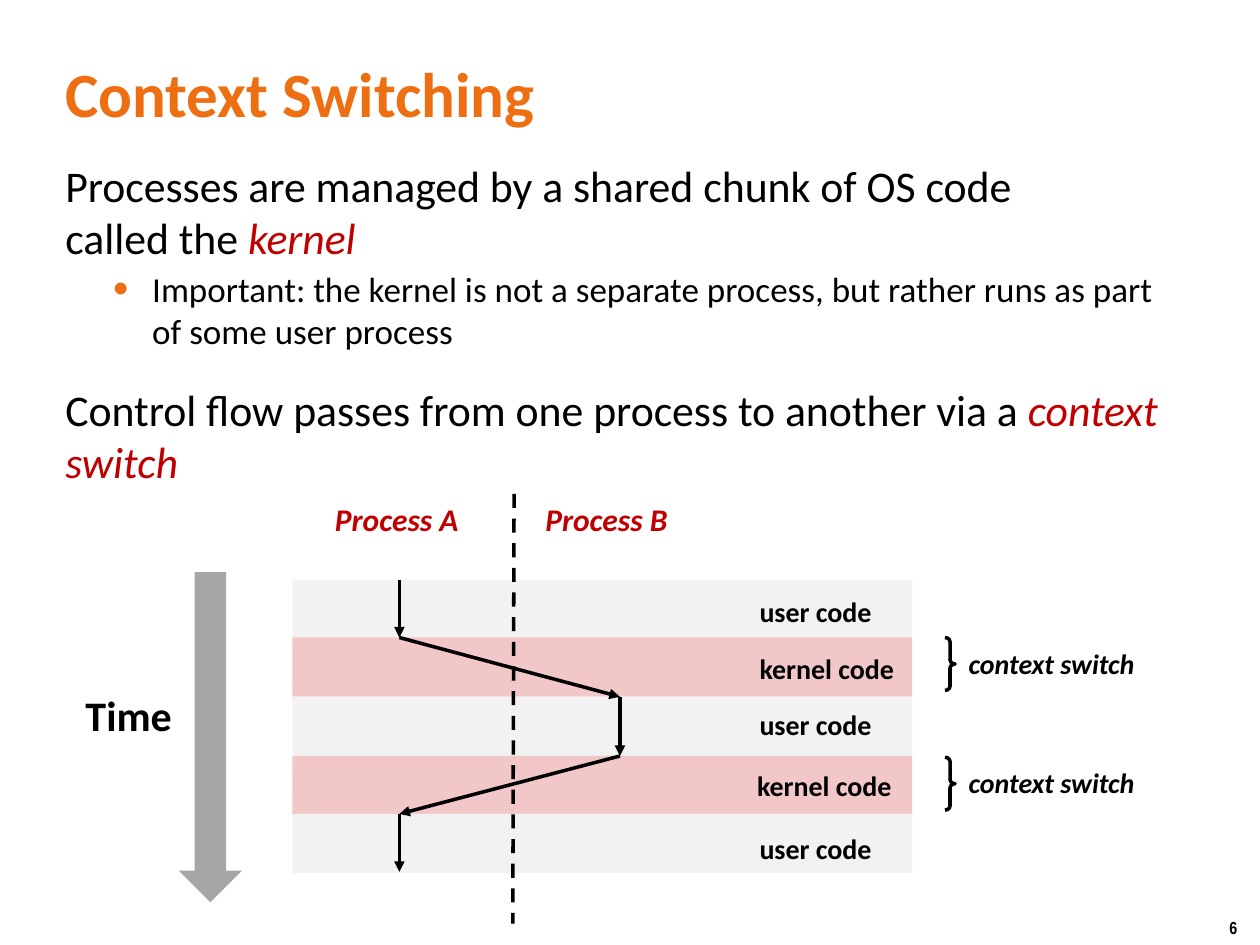
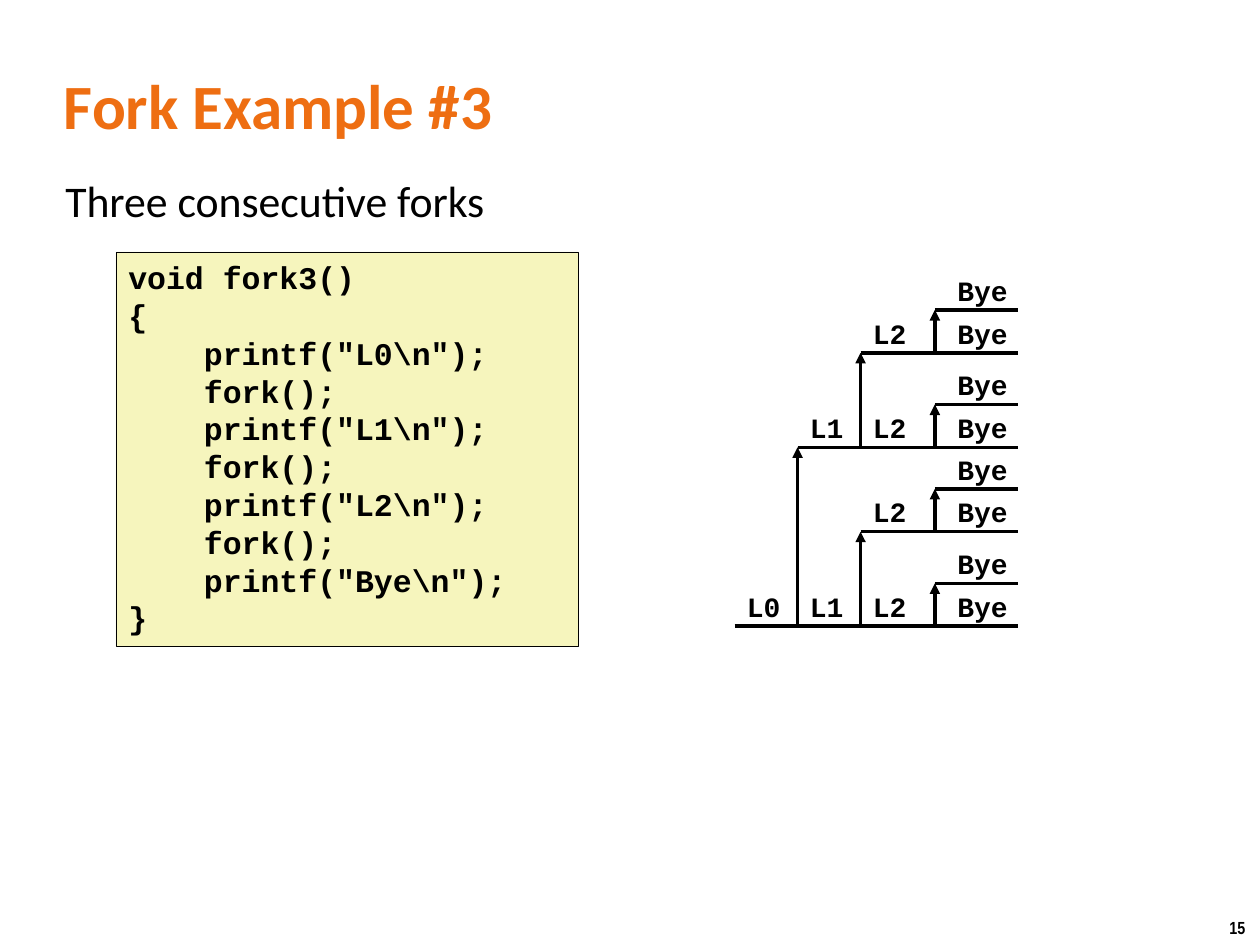
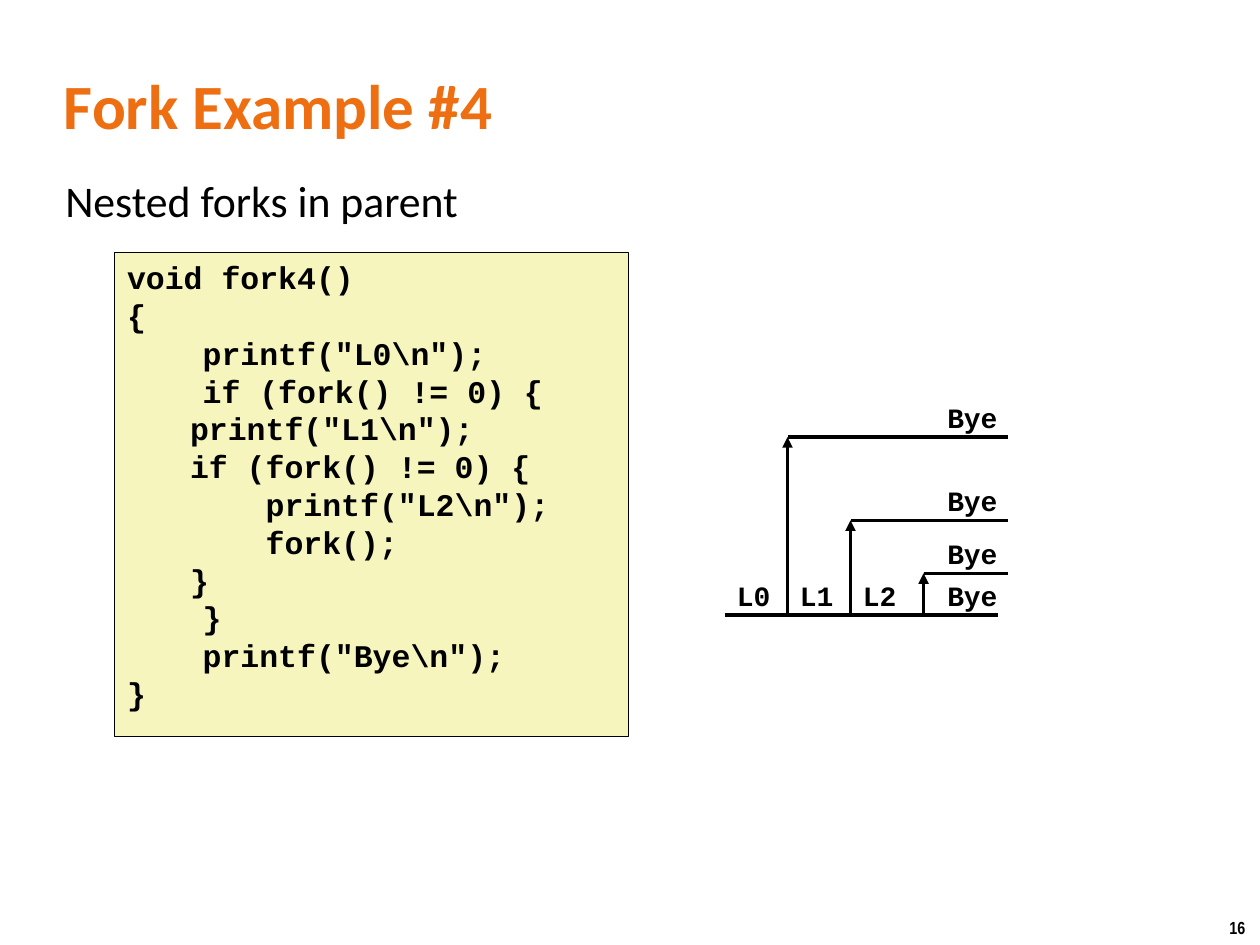
"""Builds three slides on context switching and fork()."""
from dataclasses import dataclass
from itertools import pairwise

from pptx import Presentation
from pptx import util as u
from pptx.dml.color import RGBColor
from pptx.enum import dml, shapes, text
from pptx.oxml.xmlchemy import OxmlElement

PX = u.Inches(1) // 100


@dataclass(frozen=True)
class Theme:
    """Colours, fonts and type sizes of the deck."""
    ink: str = "000000"
    accent: str = "EE6E12"
    emphasis: str = "C00000"
    user: str = "F2F2F2"
    kernel: str = "F1C7C7"
    arrow: str = "A6A6A6"
    code_fill: str = "F6F5BD"
    sans: str = "Calibri"
    mono: str = "Courier New"
    narrow: str = "Arial Narrow"
    title: int = 36
    body: int = 25
    bullet: int = 20
    time: int = 24
    code: int = 18
    process: int = 18
    label: int = 16
    number: int = 10
    line: int = 2
    hairline: float = 0.25
    code_spacing: float = 21.6


def rgb(value):
    """Return a hex string as a colour."""
    return RGBColor.from_string(value)


def add_child(parent, tag, **attrs):
    """Append an XML element with attributes and return it."""
    child = OxmlElement(tag)
    for name, value in attrs.items():
        child.set(name, value)
    parent.append(child)
    return child


class Deck:
    """Holds the theme and the current slide, and draws elements on it."""

    def __init__(self, theme):
        """Start an empty deck."""
        self.t = theme
        self.prs = Presentation()
        self.prs.slide_width = 1000 * PX
        self.prs.slide_height = 750 * PX
        self.s = None

    def slide(self, title, number, box=(41, 41, 917, 83)):
        """Add a slide with its title and page number."""
        t = self.t
        self.s = self.prs.slides.add_slide(self.prs.slide_layouts[6])
        self.label(str(number), 966, 723, 34, 27, t.number, font=t.narrow)
        tf = self.frame(*box)
        tf.vertical_anchor = text.MSO_ANCHOR.MIDDLE
        tf.text = title
        self.font(tf.paragraphs[0], t.title, t.sans, t.accent, bold=True)

    def frame(self, x, y, w, h):
        """Add a wrapping text box and return its text frame."""
        sp = self.s.shapes.add_textbox(x * PX, y * PX, w * PX, h * PX)
        sp.text_frame.word_wrap = True
        return sp.text_frame

    def font(self, p, size, name, color, bold=False, italic=False):
        """Set the font of a paragraph."""
        f = p.font
        f.size, f.name, f.bold, f.italic = u.Pt(size), name, bold, italic
        f.color.rgb = rgb(color)

    def label(self, words, x, y, w, h, size, font=None, color=None, italic=False):
        """Add a bold one-line label."""
        tf = self.frame(x, y, w, h)
        tf.word_wrap = False
        tf.auto_size = text.MSO_AUTO_SIZE.SHAPE_TO_FIT_TEXT
        tf.text = words
        self.font(tf.paragraphs[0], size, font or self.t.sans,
                  color or self.t.ink, True, italic)

    def body(self, box, *items):
        """Add body text from (level, plain words, emphasised words) items."""
        t = self.t
        tf = self.frame(*box)
        for i, (level, plain, emphasised) in enumerate(items):
            p = tf.add_paragraph() if i else tf.paragraphs[0]
            p.level = level
            p.space_before = u.Pt(2 if level else 18)
            if level:
                self.bullet(p)
            self.font(p, t.bullet if level else t.body, t.sans, t.ink)
            for n, part in enumerate(plain.split("\n")):
                if n:
                    p.add_line_break()
                p.add_run().text = part
            if emphasised:
                r = p.add_run()
                r.text = emphasised
                r.font.italic = True
                r.font.color.rgb = rgb(t.emphasis)

    def bullet(self, p):
        """Give a paragraph a hanging accent bullet."""
        pPr = p._p.get_or_add_pPr()
        pPr.set("marL", str(69 * PX))
        pPr.set("indent", str(-31 * PX))
        add_child(add_child(pPr, "a:buClr"), "a:srgbClr", val=self.t.accent)
        add_child(pPr, "a:buSzPct", val="125000")
        add_child(pPr, "a:buFont", typeface="Arial")
        add_child(pPr, "a:buChar", char="•")

    def shape(self, kind, x, y, w, h, fill=None, line=None):
        """Add a preset shape; line is a width in points."""
        sp = self.s.shapes.add_shape(kind, x * PX, y * PX, w * PX, h * PX)
        sp.shadow.inherit = False
        if fill:
            sp.fill.solid()
            sp.fill.fore_color.rgb = rgb(fill)
        else:
            sp.fill.background()
        if line:
            sp.line.width = u.Pt(line)
            sp.line.color.rgb = rgb(self.t.ink)
        else:
            sp.line.fill.background()
        return sp

    def line(self, x1, y1, x2, y2, arrow=False, dash=False):
        """Add a straight line, with an arrowhead or dashes if asked."""
        c = self.s.shapes.add_connector(
            shapes.MSO_CONNECTOR.STRAIGHT, x1 * PX, y1 * PX, x2 * PX, y2 * PX)
        c.line.width = u.Pt(self.t.line)
        c.line.color.rgb = rgb(self.t.ink)
        if dash:
            c.line.dash_style = dml.MSO_LINE.DASH
        if arrow:
            add_child(c.line._get_or_add_ln(), "a:tailEnd", type="triangle")
        add_child(c._element.spPr, "a:effectLst")

    def code(self, x, y, w, h, source):
        """Add a box with a code listing."""
        t = self.t
        sp = self.shape(shapes.MSO_SHAPE.RECTANGLE, x, y, w, h, t.code_fill, t.hairline)
        tf = sp.text_frame
        tf.word_wrap = False
        tf.vertical_anchor = text.MSO_ANCHOR.TOP
        tf.text = source
        for p in tf.paragraphs:
            p.alignment = text.PP_ALIGN.LEFT
            p.line_spacing = u.Pt(t.code_spacing)
            self.font(p, t.code, t.mono, t.ink, bold=True)

    def output(self, words, x, y):
        """Label a process line at height y with what it prints."""
        self.label(words, x, y - 34, 60 if words == "Bye" else 47, 37,
                   self.t.label, font=self.t.mono)

    def process(self, columns, rises, end, y, level=0, nested=False, parent_end=None):
        """Draw a process line and, from it, every process it forks."""
        self.line(columns[level], y, parent_end or end, y)
        self.output("Bye", end - 58, y)
        if nested and level:
            return
        for i in range(level, len(rises)):
            self.output(f"L{i}", columns[i], y)
            x, top = columns[i + 1], y - rises[i]
            self.line(x, y, x, top, arrow=True)
            self.process(columns, rises, end, top, i + 1, nested)


def context_switching(d):
    """Draw the slide on switching between two processes."""
    t = d.t
    d.slide("Context Switching", 6, (42, 42, 639, 63))
    d.body((42, 121, 907, 279),
           (0, "Processes are managed by a shared chunk of OS code \ncalled the ", "kernel"),
           (1, "Important: the kernel is not a separate process, but rather "
               "runs as part of some user process", ""),
           (0, "Control flow passes from one process to another via a ", "context switch"))

    edges = [460 + round(46.5 * i) for i in range(6)]
    label_tops = (467, 512, 557, 605, 655)
    for i, top in enumerate(edges[:-1]):
        d.shape(shapes.MSO_SHAPE.RECTANGLE, 232, top, 492, 47, t.kernel if i % 2 else t.user)
    for i, top in enumerate(label_tops):
        words, w = ("kernel code", 128) if i % 2 else ("user code", 110)
        d.label(words, 591 if i == 3 else 593, top, w, 37, t.label)

    for name, x in (("Process A", 256), ("Process B", 423)):
        d.label(name, x, 392, 120, 40, t.process, color=t.emphasis, italic=True)
    d.line(408, 392, 407, 733, dash=True)
    for start, stop in pairwise(zip((317, 317, 492, 492, 317, 317), edges)):
        d.line(*start, *stop, arrow=True)

    for top in (506, 601):
        brace = d.shape(shapes.MSO_SHAPE.RIGHT_BRACE, 750, top, 8, 42, line=t.line)
        brace.adjustments[0] = 0.42
        d.label("context switch", 759, top + 2, 154, 37, t.label, italic=True)

    d.label("Time", 58, 542, 89, 50, t.time)
    d.shape(shapes.MSO_SHAPE.DOWN_ARROW, 142, 454, 50, 262, t.arrow)


def fork_example(d, number, page, caption, box, source):
    """Draw what the fork slides share."""
    d.slide(f"Fork Example #{number}", page)
    d.body((42, 133, 864, 84), (0, caption, ""))
    d.code(*box, source)


FORK3 = r"""void fork3()
{
    printf("L0\n");
    fork();
    printf("L1\n");
    fork();
    printf("L2\n");
    fork();
    printf("Bye\n");
}"""

FORK4 = r"""void fork4()
{
    printf("L0\n");
    if (fork() != 0) {
@printf("L1\n");
@if (fork() != 0) {
@    printf("L2\n");
@    fork();
@}
    }
    printf("Bye\n");
}""".replace("@", "\t")


def main():
    """Build and save the deck."""
    d = Deck(Theme())
    context_switching(d)
    fork_example(d, 3, 15, "Three consecutive forks", (92, 200, 367, 313), FORK3)
    d.process((583, 633, 683, 742), (142, 75, 34), 808, 497)
    fork_example(d, 4, 16, "Nested forks in parent", (91, 200, 408, 384), FORK4)
    d.process((575, 625, 675, 733), (141, 75, 33), 800, 488, nested=True, parent_end=792)
    d.prs.save("out.pptx")


if __name__ == "__main__":
    main()
